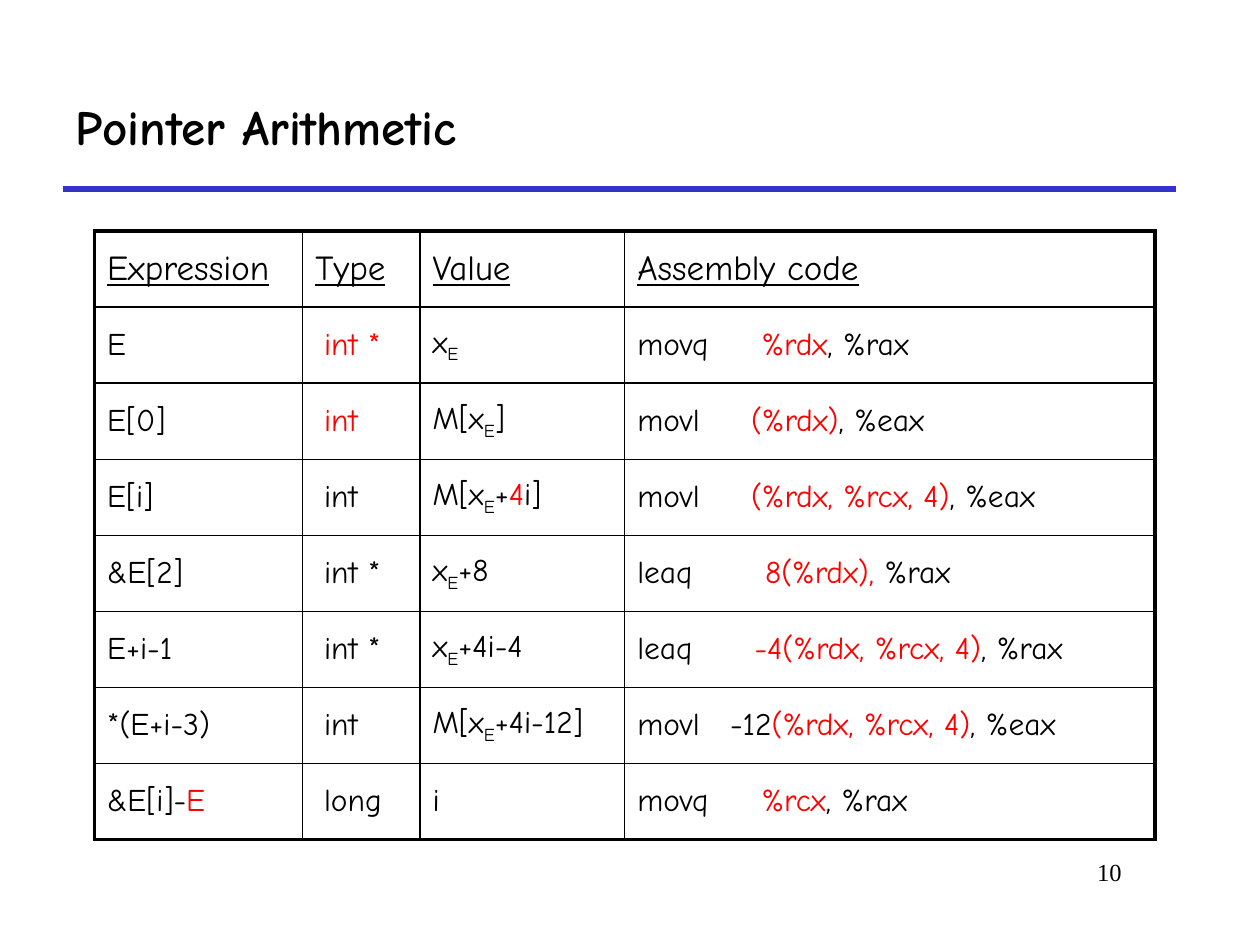
import pptx
import pptx.dml.color
import pptx.enum.shapes
import pptx.enum.text
import pptx.oxml
import pptx.oxml.ns
import pptx.util
from pptx.util import Pt

COLORS = {"text": "000000", "accent": "FF0000", "rule": "3333CC"}
HEADERS = ["Expression", "Type", "Value", "Assembly code"]
COLUMN_WIDTHS = [119, 67, 117, 303]
TYPE_COLUMN = 1
TYPE_INDENT = 5
# In each cell, "|" separates spans, "^" starts a red span and "_" a subscript.
ROWS = [
    (["E", "^int *", "x|_E", "movq\t|^%rdx|, %rax"], 71),
    (["E[0]", "^int", "M[x|_E|]", "movl\t|^(%rdx)|, %eax"], 65),
    (["E[i]", "int", "M[x|_E|+|^4|i]", "movl\t|^(%rdx, %rcx, 4)|, %eax"], 65),
    (["&E[2]", "int *", "x|_E|+8", "leaq\t|^8(%rdx),| %rax"], 73),
    (["E+i-1", "int *", "x|_E|+4i-4", "leaq\t|^-4(%rdx, %rcx, 4)|, %rax"], 67),
    (["*(E+i-3)", "int", "M[x|_E|+4i-12]", "movl\t|-12|^(%rdx, %rcx, 4)|, %eax"], 53),
    (["&E[i]-|^E", "long", "i", "movq\t|^%rcx|, %rax"], 71),
]


def color(name):
    return pptx.dml.color.RGBColor.from_string(COLORS[name])


def style_para(para, size, font="Comic Neue"):
    para.font.name = font
    para.font.size = Pt(size)
    para.font.color.rgb = color("text")


def add_label(page, box, text, size, font="Comic Neue"):
    frame = page.shapes.add_textbox(*map(Pt, box)).text_frame
    frame.word_wrap = True
    para = frame.paragraphs[0]
    para.text = text
    style_para(para, size, font)
    return frame, para


def add_heading(page, box):
    left, top, width, height = box
    rule = page.shapes.add_connector(
        pptx.enum.shapes.MSO_CONNECTOR.STRAIGHT,
        Pt(left), Pt(top + height), Pt(left + width), Pt(top + height))
    rule.line.color.rgb = color("rule")
    rule.line.width = Pt(3)
    properties = rule._element.spPr
    properties.append(pptx.oxml.parse_xml(
        f'<a:effectLst {pptx.oxml.ns.nsdecls("a")}/>'))
    frame, para = add_label(page, box, "Pointer Arithmetic", 28)
    frame.vertical_anchor = pptx.enum.text.MSO_ANCHOR.MIDDLE
    para.font.bold = True


def add_page_number(page, box):
    _, para = add_label(page, box, "10", 14, "Times New Roman")
    para.alignment = pptx.enum.text.PP_ALIGN.RIGHT


def set_borders(cell, outer_sides):
    properties = cell._tc.get_or_add_tcPr()
    for position, side in enumerate("LRTB"):
        width = Pt(2.25 if side in outer_sides else 1)
        properties.insert(position, pptx.oxml.parse_xml(
            f'<a:ln{side} {pptx.oxml.ns.nsdecls("a")} w="{int(width)}">'
            f'<a:solidFill><a:srgbClr val="{COLORS["text"]}"/></a:solidFill>'
            f'</a:ln{side}>'))


def set_tab(para, position):
    properties = para._p.get_or_add_pPr()
    tabs = pptx.oxml.parse_xml(
        f'<a:tabLst {pptx.oxml.ns.nsdecls("a")}>'
        f'<a:tab pos="{int(Pt(position))}" algn="l"/></a:tabLst>')
    properties.find(pptx.oxml.ns.qn("a:defRPr")).addprevious(tabs)


def fill_cell(cell, markup, size):
    cell.vertical_anchor = pptx.enum.text.MSO_ANCHOR.MIDDLE
    cell.fill.background()
    para = cell.text_frame.paragraphs[0]
    style_para(para, size)
    para.space_before = Pt(size * 0.2)
    for part in markup.split("|"):
        span = para.add_run()
        span.text = part.lstrip("^_")
        if part.startswith("^"):
            span.font.color.rgb = color("accent")
        elif part.startswith("_"):
            span._r.get_or_add_rPr().set("baseline", "-25000")
    return para


def add_expression_table(page, box):
    lines = [(HEADERS, None)] + ROWS
    table = page.shapes.add_table(len(lines), len(HEADERS), *map(Pt, box)).table
    table.first_row = False
    table.horz_banding = False
    for column, width in zip(table.columns, COLUMN_WIDTHS):
        column.width = Pt(width)
    last_row, last_column = len(lines) - 1, len(HEADERS) - 1
    for r, (texts, tab) in enumerate(lines):
        table.rows[r].height = Pt(box[3] / len(lines))
        for c, markup in enumerate(texts):
            cell = table.cell(r, c)
            para = fill_cell(cell, markup, 18 if r else 20)
            if r == 0:
                para.font.underline = True
            elif c == TYPE_COLUMN:
                cell.margin_left = Pt(7.2 + TYPE_INDENT)
            elif c == last_column:
                set_tab(para, tab)
            edges = {"L": c == 0, "R": c == last_column,
                     "T": r == 0, "B": r == last_row}
            set_borders(cell, [side for side, outer in edges.items() if outer])


def main():
    deck = pptx.Presentation()
    deck.slide_width, deck.slide_height = Pt(720), Pt(540)
    page = deck.slides.add_slide(deck.slide_layouts[6])
    add_heading(page, (36, 36, 636, 72))
    add_page_number(page, (546, 486, 102, 36))
    add_expression_table(page, (54, 132, 606, 348))
    deck.save("out.pptx")


if __name__ == "__main__":
    main()
